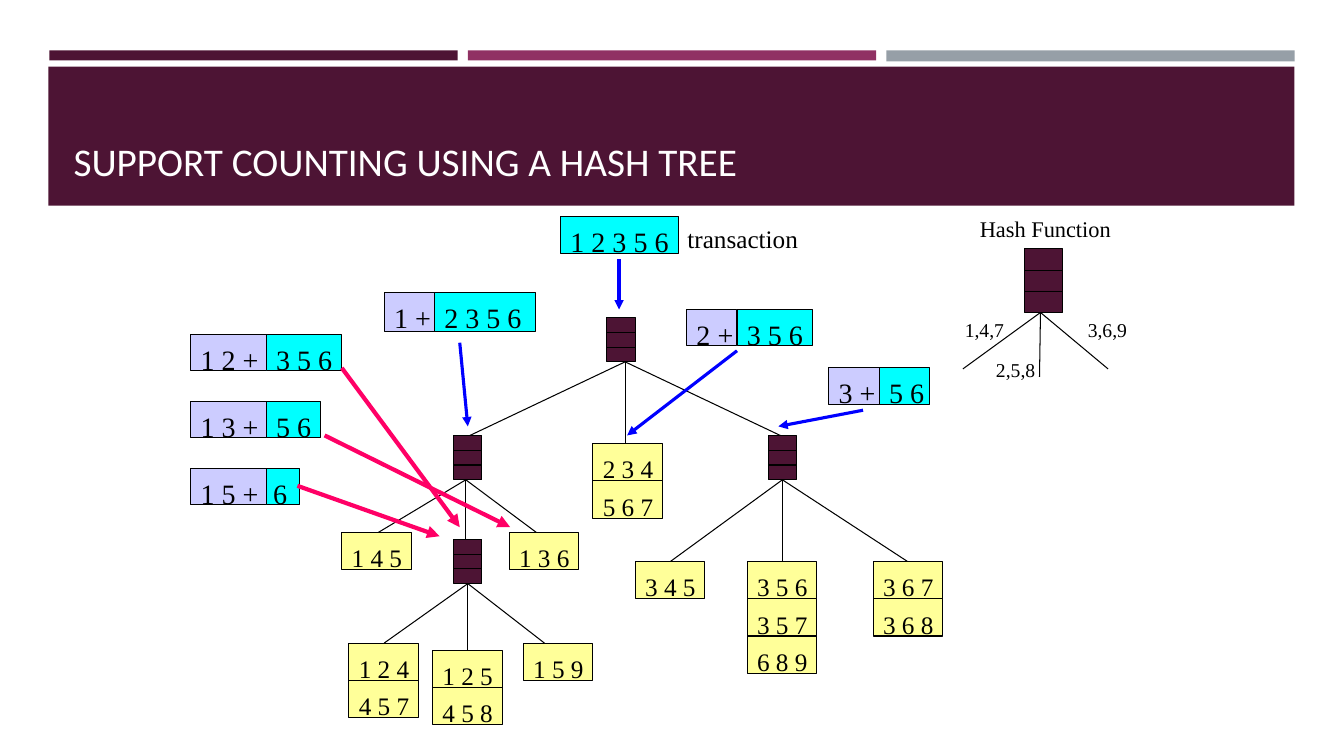
import pptx
import pptx.dml.color
import pptx.enum.shapes
import pptx.enum.text
import pptx.oxml
import pptx.oxml.ns
import pptx.util

Inches = pptx.util.Inches
Pt = pptx.util.Pt
ANCHOR = pptx.enum.text.MSO_ANCHOR
COLORS = {
    "plum": "4D1434", "berry": "903163", "gray": "969FA7",
    "black": "000000", "white": "FFFFFF", "yellow": "FFFF99",
    "cyan": "00FFFF", "lavender": "CCCCFF", "blue": "0000FF", "pink": "FF0066",
}
LEAF_WIDTH, LEAF_HEIGHT = 0.69, 0.37

BANDS = [
    (0.49, 0.5, 4.05, 0.1, "plum"), (4.64, 0.5, 4.05, 0.1, "berry"),
    (8.79, 0.5, 4.05, 0.11, "gray"), (0.48, 0.66, 12.36, 1.38, "plum"),
]
BRANCHES = [
    ((6.2, 3.59), [(4.64, 4.33), (6.2, 4.4), (7.76, 4.33)]),
    ((4.62, 4.76), [(3.74, 5.29), (4.62, 5.35), (5.33, 5.29)]),
    ((7.76, 4.76), [(6.65, 5.57), (7.76, 5.57), (9, 5.57)]),
    ((4.64, 5.79), [(3.81, 6.38), (4.64, 6.45), (5.4, 6.38)]),
    ((10.32, 3.1), [(9.55, 3.66), (10.31, 3.74), (10.99, 3.66)]),
]
NODES = [
    (6.02, 3.15, 0.28, 0.44), (4.5, 4.32, 0.28, 0.44), (7.62, 4.32, 0.28, 0.44),
    (4.5, 5.35, 0.28, 0.44), (10.16, 2.47, 0.38, 0.63),
]
LEAVES = [
    (3.39, 5.28, ["1 4 5"]), (5.05, 5.28, ["1 3 6"]), (5.19, 6.38, ["1 5 9"]),
    (6.3, 5.57, ["3 4 5"]), (7.41, 5.57, ["3 5 6", "3 5 7", "6 8 9"]),
    (8.66, 5.57, ["3 6 7", "3 6 8"]), (5.88, 4.4, ["2 3 4", "5 6 7"]),
    (3.46, 6.38, ["1 2 4", "4 5 7"]), (4.29, 6.45, ["1 2 5", "4 5 8"]),
]
SUBSETS = [
    (1.89, 3.32, 0.36, "1 2 +", 0.75, "3 5 6", 0.75),
    (1.89, 3.98, 0.36, "1 3 +", 0.75, "5 6", 0.54),
    (1.89, 4.65, 0.36, "1 5 +", 0.75, "6", 0.33),
    (3.81, 2.9, 0.39, "1 +", 0.5, "2 3 5 6", 1),
    (6.81, 3.07, 0.36, "2 +", 0.5, "3 5 6", 0.75),
    (8.22, 3.65, 0.36, "3 +", 0.5, "5 6", 0.5),
]
ARROWS = [
    ("blue", 2.25, [((6.14, 2.57), (6.14, 3.07)), ((4.56, 3.4), (4.64, 4.23)),
                    ((7.31, 3.48), (6.22, 4.32)), ((8.56, 4.07), (7.72, 4.23))]),
    ("pink", 3, [((3.39, 3.65), (4.56, 5.23)), ((2.95, 4.82), (4.36, 5.32)),
                 ((3.22, 4.32), (5.06, 5.23))]),
]
LABELS = [
    (9.47, 3.1, 0.59, 0.34, "1,4,7", 14), (9.78, 3.5, 0.59, 0.34, "2,5,8", 14),
    (10.69, 3.1, 0.59, 0.34, "3,6,9", 14),
    (9.62, 2.09, 1.51, 0.37, "Hash Function", 16),
    (6.72, 2.17, 1.3, 0.4, "transaction", 18),
]


def rgb(name):
    return pptx.dml.color.RGBColor.from_string(COLORS[name])


def apply(target, values):
    for name, value in values.items():
        setattr(target, name, value)


class TreeSlide:
    """Draws hash tree elements on one slide in a shared style."""

    def __init__(self, presentation):
        self.slide = presentation.slides.add_slide(presentation.slide_layouts[5])
        self.shapes = self.slide.shapes
        self.font = "Times New Roman"

    def set_text(self, shape, text, size, color="black", font=None, **frame_format):
        frame = shape.text_frame
        frame.text = text
        apply(frame, {"auto_size": pptx.enum.text.MSO_AUTO_SIZE.NONE,
                      "word_wrap": False, "vertical_anchor": ANCHOR.TOP,
                      **frame_format})
        paragraph = frame.paragraphs[0]
        paragraph.alignment = pptx.enum.text.PP_ALIGN.LEFT
        apply(paragraph.font, {"name": font or self.font, "size": Pt(size)})
        paragraph.font.color.rgb = rgb(color)

    def title(self, text):
        title = self.shapes.title
        apply(title, {"left": Inches(0.63), "top": Inches(0.8),
                      "width": Inches(12.06), "height": Inches(1.08)})
        self.set_text(title, text, 28, "white", "Calibri",
                      vertical_anchor=ANCHOR.BOTTOM, word_wrap=True)
        self.shapes._spTree.append(title._element)

    def box(self, left, top, width, height, fill, outlined=True):
        shape = self.shapes.add_shape(
            pptx.enum.shapes.MSO_SHAPE.RECTANGLE,
            Inches(left), Inches(top), Inches(width), Inches(height))
        shape.shadow.inherit = False
        shape.fill.solid()
        shape.fill.fore_color.rgb = rgb(fill)
        if outlined:
            shape.line.color.rgb = rgb("black")
            shape.line.width = Pt(0.75)
        else:
            shape.line.fill.background()
        return shape

    def items(self, left, top, width, height, text, fill, size=20):
        shape = self.box(left, top, width, height, fill)
        inset = 0.07 if len(text) == 1 else 0.1
        self.set_text(shape, text, size, margin_left=Inches(inset), margin_right=0,
                      margin_top=Inches(0.1 if size == 18 else 0.08), margin_bottom=0)

    def label(self, left, top, width, height, text, size):
        shape = self.shapes.add_textbox(
            Inches(left), Inches(top), Inches(width), Inches(height))
        self.set_text(shape, text, size)

    def line(self, start, end, color="black", width=0.75, arrow=False):
        connector = self.shapes.add_connector(
            pptx.enum.shapes.MSO_CONNECTOR.STRAIGHT,
            *(Inches(value) for value in (*start, *end)))
        connector.line.color.rgb = rgb(color)
        connector.line.width = Pt(width)
        if arrow:
            tail = pptx.oxml.parse_xml(
                f'<a:tailEnd {pptx.oxml.ns.nsdecls("a")} type="triangle"/>')
            connector.line._get_or_add_ln().append(tail)
        connector._element.spPr.append(pptx.oxml.parse_xml(
            f'<a:effectLst {pptx.oxml.ns.nsdecls("a")}/>'))

    def node(self, left, top, width, height):
        self.box(left, top, width, height, "plum")
        for part in (1, 2):
            divider = top + height * part / 3
            self.line((left, divider), (left + width, divider))


def main():
    presentation = pptx.Presentation()
    apply(presentation, {"slide_width": Inches(13.33), "slide_height": Inches(7.5)})
    tree = TreeSlide(presentation)
    for *place, color in BANDS:
        tree.box(*place, color, outlined=False)
    tree.title("SUPPORT COUNTING USING A HASH TREE")
    for start, ends in BRANCHES:
        for end in ends:
            tree.line(start, end)
    for node in NODES:
        tree.node(*node)
    for left, top, itemsets in LEAVES:
        for row, itemset in enumerate(itemsets):
            tree.items(left, top + row * LEAF_HEIGHT, LEAF_WIDTH, LEAF_HEIGHT,
                       itemset, "yellow", 18)
    tree.items(5.56, 2.15, 1.17, 0.37, "1 2 3 5 6", "cyan")
    for left, top, height, prefix, prefix_width, rest, rest_width in SUBSETS:
        tree.items(left, top, prefix_width, height, prefix, "lavender")
        tree.items(left + prefix_width, top, rest_width, height, rest, "cyan")
    for color, width, routes in ARROWS:
        for start, end in routes:
            tree.line(start, end, color, width, arrow=True)
    for label in LABELS:
        tree.label(*label)
    presentation.save("out.pptx")


if __name__ == "__main__":
    main()
